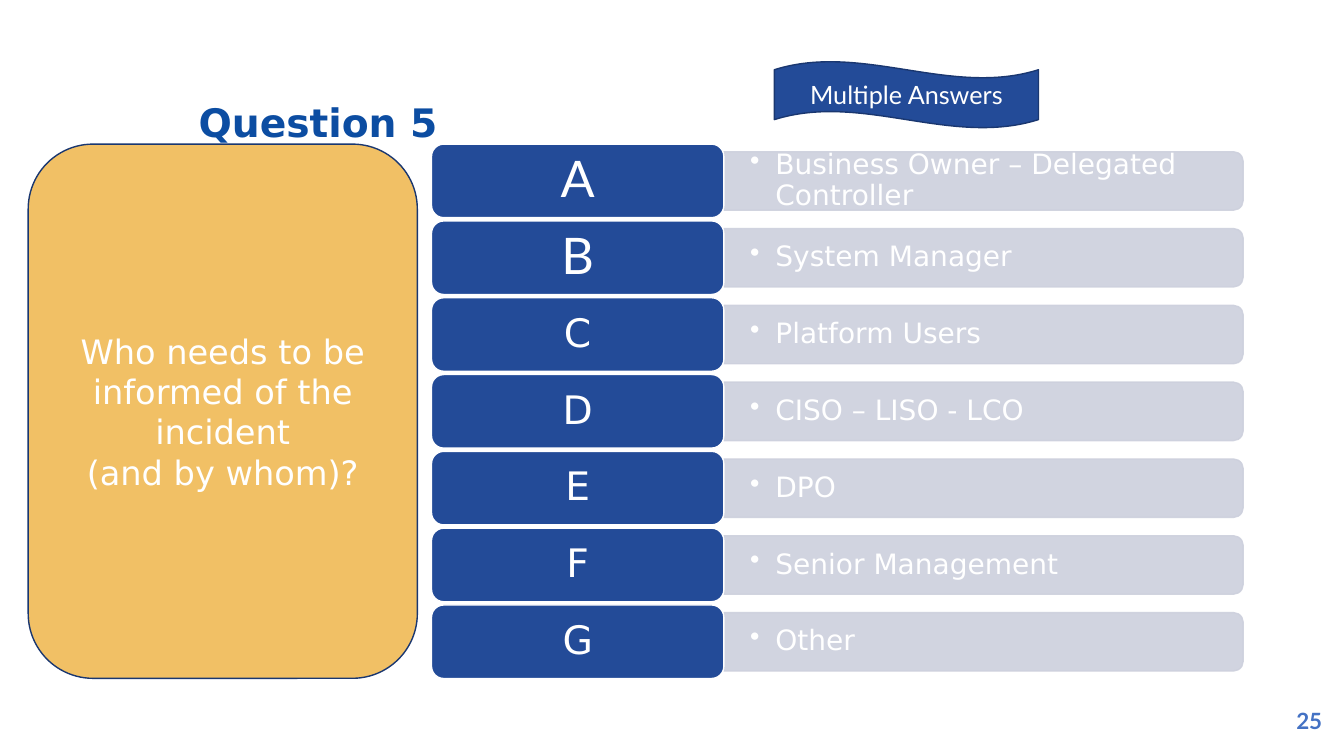
from lxml import etree
from pptx import Presentation
from pptx.dml.color import RGBColor
from pptx.enum.shapes import MSO_SHAPE
from pptx.enum.text import MSO_ANCHOR, PP_ALIGN
from pptx.oxml.ns import qn
from pptx.util import Inches, Pt

COLORS = {
    "title": "0C4DA2",
    "number": "4472C4",
    "blue": "234B98",
    "outline": "1A3770",
    "amber": "F1C065",
    "bar": "CDD0DD",
    "white": "FFFFFF",
}
SANS = "DejaVu Sans"
LATO = "Lato"

ANSWERS = [
    "Business Owner – Delegated Controller",
    "System Manager",
    "Platform Users",
    "CISO – LISO - LCO",
    "DPO",
    "Senior Management",
    "Other",
]
FIRST_TOP = 1.43
ROW_PITCH = 0.762
LETTER_HEIGHT = 0.73
BAR_LEFT, BAR_LENGTH, BAR_HEIGHT = 7.18, 5.15, 0.58


def color(name):
    return RGBColor.from_string(COLORS[name])


def add_bullet(paragraph, indent):
    properties = paragraph._p.get_or_add_pPr()
    properties.set("marL", str(Inches(indent)))
    properties.set("indent", str(-Inches(indent)))
    etree.SubElement(properties, qn("a:buChar")).set("char", "•")


def write_text(shape, text, size=18, font=SANS, ink="white", bold=False,
               align=PP_ALIGN.CENTER, anchor=MSO_ANCHOR.MIDDLE,
               margins=(0.1, 0.05), spacing=None, bullet_indent=None):
    """Fill a shape with text, one paragraph for each line."""
    frame = shape.text_frame
    frame.word_wrap = True
    frame.vertical_anchor = anchor
    frame.margin_left = frame.margin_right = Inches(margins[0])
    frame.margin_top = frame.margin_bottom = Inches(margins[1])
    frame.text = text
    for paragraph in frame.paragraphs:
        if bullet_indent:
            add_bullet(paragraph, bullet_indent)
        paragraph.alignment = align
        if spacing:
            paragraph.line_spacing = spacing
        for run in paragraph.runs:
            run.font.size = Pt(size)
            run.font.name = font
            run.font.bold = bold
            run.font.color.rgb = color(ink)


def add_box(slide, kind, left, top, width, height, fill, line):
    shape = slide.shapes.add_shape(
        kind, Inches(left), Inches(top), Inches(width), Inches(height))
    shape.shadow.inherit = False
    shape.fill.solid()
    shape.fill.fore_color.rgb = color(fill)
    shape.line.color.rgb = color(line)
    shape.line.width = Pt(1)
    return shape


def add_label(slide, left, top, width, height, text, **text_format):
    box = slide.shapes.add_textbox(
        Inches(left), Inches(top), Inches(width), Inches(height))
    write_text(box, text, **text_format)


def set_opacity(shape, percent):
    for solid in shape._element.spPr.iter(qn("a:solidFill")):
        alpha = etree.SubElement(solid[0], qn("a:alpha"))
        alpha.set("val", str(percent * 1000))


def add_title(slide, text):
    title = slide.shapes.title
    title.left, title.top = Inches(1.87), Inches(0.88)
    title.width, title.height = Inches(9.52), Inches(0.71)
    write_text(title, text, size=28, ink="title", bold=True,
               align=PP_ALIGN.LEFT, anchor=MSO_ANCHOR.TOP, spacing=Pt(36.6))


def add_answer(slide, index, answer):
    top = FIRST_TOP + index * ROW_PITCH
    middle = top + LETTER_HEIGHT / 2

    # Bar: an upright tab turned so that its rounded end points right
    bar = add_box(slide, MSO_SHAPE.ROUND_2_SAME_RECTANGLE,
                  BAR_LEFT + (BAR_LENGTH - BAR_HEIGHT) / 2,
                  middle - BAR_LENGTH / 2,
                  BAR_HEIGHT, BAR_LENGTH, "bar", "bar")
    bar.rotation = 90
    set_opacity(bar, 90)
    add_label(slide, 7.17, middle - 0.26, 5.12, 0.52, answer, size=20,
              align=PP_ALIGN.LEFT, margins=(0.27, 0.14), spacing=0.9,
              bullet_indent=0.25)

    # Letter: the first two are larger
    large = index < 2
    letter = add_box(slide, MSO_SHAPE.ROUNDED_RECTANGLE,
                     4.28, top, 2.9, LETTER_HEIGHT, "blue", "white")
    write_text(letter, "ABCDEFG"[index], size=36 if large else 28,
               font=LATO if large else SANS, spacing=0.9)


def main():
    presentation = Presentation()
    presentation.slide_width = Inches(13.33)
    presentation.slide_height = Inches(7.5)
    slide = presentation.slides.add_slide(presentation.slide_layouts[5])

    # Title and slide number
    add_title(slide, "Question 5")
    add_label(slide, 12.74, 6.95, 0.49, 0.4, "25", size=16, font=LATO,
              ink="number", bold=True, margins=(0, 0.05))

    # Answers
    for index, answer in enumerate(ANSWERS):
        add_answer(slide, index, answer)

    # Question and banner
    question = add_box(slide, MSO_SHAPE.ROUNDED_RECTANGLE,
                       0.28, 1.43, 3.86, 5.3, "amber", "outline")
    write_text(question,
               "Who needs to be informed of the incident\n(and by whom)?",
               size=24)
    banner = add_box(slide, MSO_SHAPE.WAVE,
                     7.68, 0.61, 2.62, 0.66, "blue", "outline")
    write_text(banner, "Multiple Answers", font=LATO)

    presentation.save("out.pptx")


if __name__ == "__main__":
    main()
